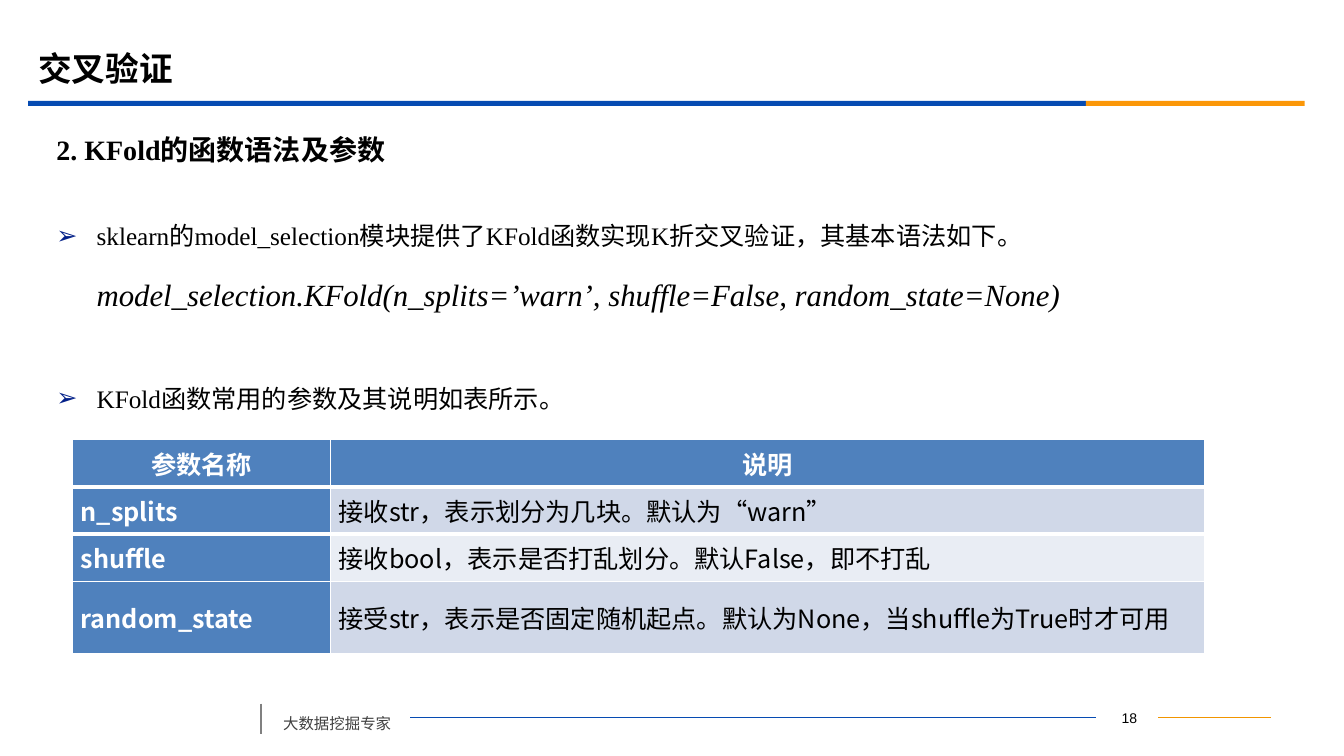
from lxml import etree
from pptx import Presentation, util as u
from pptx.dml.color import RGBColor
from pptx.enum import shapes, text
from pptx.oxml.ns import qn

WIDE, HIGH = 13.33, 7.5
SANS, SERIF = "Noto Sans CJK SC", "Times New Roman"
BLUE, BLACK, WHITE = "064BB2", "000000", "FFFFFF"
LEFT, MID = text.PP_ALIGN.LEFT, text.PP_ALIGN.CENTER
ROWS = [
    ("参数名称", "说明"),
    ("n_splits", "接收str，表示划分为几块。默认为“warn”"),
    ("shuffle", "接收bool，表示是否打乱划分。默认False，即不打乱"),
    ("random_state", "接受str，表示是否固定随机起点。默认为None，当shuffle为True时才可用"),
]
POINTS = [  # text, size, italic, bullet, space before
    ("sklearn的model_selection模块提供了KFold函数实现K折交叉验证，其基本语法如下。",
     18, False, True, 3.6),
    ("model_selection.KFold(n_splits=’warn’, shuffle=False, random_state=None)",
     22, True, False, 4.4),
    ("KFold函数常用的参数及其说明如表所示。", 18, False, True, 39.5),
]


def color(code):
    return RGBColor.from_string(code)


def inch(*sizes):
    return [u.Inches(size) for size in sizes]


def style(para, size, face=SERIF, code=BLACK, bold=False, italic=False, align=LEFT):
    para.alignment = align
    for run in para.runs:
        font = run.font
        font.size, font.name = u.Pt(size), face
        font.bold, font.italic = bold, italic
        font.color.rgb = color(code)
        east = etree.Element(qn("a:ea"), typeface=SANS)
        font._element.find(qn("a:latin")).addnext(east)


def label(slide, box, words, size, anchor=text.MSO_ANCHOR.MIDDLE, **look):
    frame = slide.shapes.add_textbox(*inch(*box)).text_frame
    frame.word_wrap = True
    frame.vertical_anchor = anchor
    frame.text = words
    style(frame.paragraphs[0], size, **look)
    return frame


def rule(slide, start, end, code, width):
    line = slide.shapes.add_connector(
        shapes.MSO_CONNECTOR.STRAIGHT, *inch(*start, *end))
    line.line.color.rgb = color(code)
    line.line.width = u.Pt(width)
    etree.SubElement(line._element.spPr, qn("a:effectLst"))


def header(slide, box):
    left, top, width, height = box
    title = slide.shapes.title
    title.left, title.top, title.width, title.height = inch(
        left, top, 12, height)
    title.text_frame.text = "交叉验证"
    title.text_frame.vertical_anchor = text.MSO_ANCHOR.MIDDLE
    style(title.text_frame.paragraphs[0], 24, bold=True)
    split = 10.49
    for start, span, code in ((0, split, BLUE), (split, width - split, "FB9708")):
        bar = slide.shapes.add_shape(
            shapes.MSO_SHAPE.RECTANGLE, *inch(left + start, 1, span, 0.05))
        bar.shadow.inherit = False
        bar.fill.solid()
        bar.fill.fore_color.rgb = color(code)
        bar.line.fill.background()


def bullet(para):
    props = para._p.get_or_add_pPr()
    tint = etree.SubElement(props, qn("a:buClr"))
    etree.SubElement(tint, qn("a:srgbClr"), val="032089")
    etree.SubElement(props, qn("a:buFont"), typeface="Arial")
    etree.SubElement(props, qn("a:buChar"), char="➢")


def body(slide, box):
    left, top, width, height = box
    label(slide, (left, top, width, 0.47), "2. KFold的函数语法及参数", 20, bold=True)
    drop = 0.74
    frame = slide.shapes.add_textbox(
        *inch(left, top + drop, width, height - drop)).text_frame
    frame.word_wrap = True
    frame.text = "\n".join(point[0] for point in POINTS)
    for para, (_, size, italic, marked, gap) in zip(frame.paragraphs, POINTS):
        style(para, size, italic=italic)
        para.line_spacing = 1.5
        para.space_before = u.Pt(gap)
        props = para._p.get_or_add_pPr()
        props.set("marL", str(u.Inches(0.4)))
        props.set("indent", str(u.Inches(-0.4 if marked else 0)))
        if marked:
            bullet(para)


def edge(cell, side, width):
    """Draw a white border on one side of a cell."""
    line = etree.Element(qn("a:" + side), w=str(u.Pt(width)))
    fill = etree.SubElement(line, qn("a:solidFill"))
    etree.SubElement(fill, qn("a:srgbClr"), val=WHITE)
    cell._tc.get_or_add_tcPr().insert(0, line)


def grid(slide, box):
    table = slide.shapes.add_table(len(ROWS), 2, *inch(*box)).table
    table.first_col = True
    for col, width in zip(table.columns, (2.56, 8.67)):
        col.width = u.Inches(width)
    for row, height in zip(table.rows, (0.47, 0.47, 0.47, 0.72)):
        row.height = u.Inches(height)
    for i, row in enumerate(ROWS):
        for j, words in enumerate(row):
            cell = table.cell(i, j)
            head = i == 0 or j == 0
            cell.text = words
            cell.vertical_anchor = text.MSO_ANCHOR.MIDDLE
            cell.margin_left = cell.margin_right = u.Inches(0.08)
            cell.margin_top = cell.margin_bottom = 0
            cell.fill.solid()
            band = "D0D8E8" if i % 2 else "E9EDF4"
            cell.fill.fore_color.rgb = color("4F81BD" if head else band)
            if i < 2:
                edge(cell, "lnT" if i else "lnB", 3)
            style(cell.text_frame.paragraphs[0], 18, SANS, WHITE if head else BLACK,
                  bold=head, align=text.PP_ALIGN.JUSTIFY if i else MID)


def footer(slide, box):
    left, top, width, height = box
    mid = top + 0.14
    rule(slide, (left, top), (left, top + height), "808080", 1.25)
    rule(slide, (left + 1.48, mid), (left + 8.28, mid), BLUE, 0.75)
    rule(slide, (left + 8.9, mid), (left + width, mid), "F19500", 0.75)
    frame = label(slide, (left + 0.12, top - 0.04, 1.36, 0.38), "大数据挖掘专家", 11,
                  anchor=text.MSO_ANCHOR.TOP, face=SANS, code="404040")
    frame.paragraphs[0].line_spacing = 1.5
    frame.paragraphs[0].space_before = u.Pt(6)
    label(slide, (left + 8.3, top + 0.02, 0.62, 0.25), "18", 10,
          face="Arial", align=MID)


def main():
    deck = Presentation()
    deck.slide_width, deck.slide_height = inch(WIDE, HIGH)
    slide = deck.slides.add_slide(deck.slide_layouts[5])
    header(slide, (0.28, 0.39, 12.66, 0.58))
    body(slide, (0.46, 1.25, 12.15, 5.49))
    grid(slide, (0.72, 4.36, 11.23, 2.13))
    footer(slide, (2.59, 6.98, 10.02, 0.3))
    deck.save("out.pptx")


if __name__ == "__main__":
    main()
